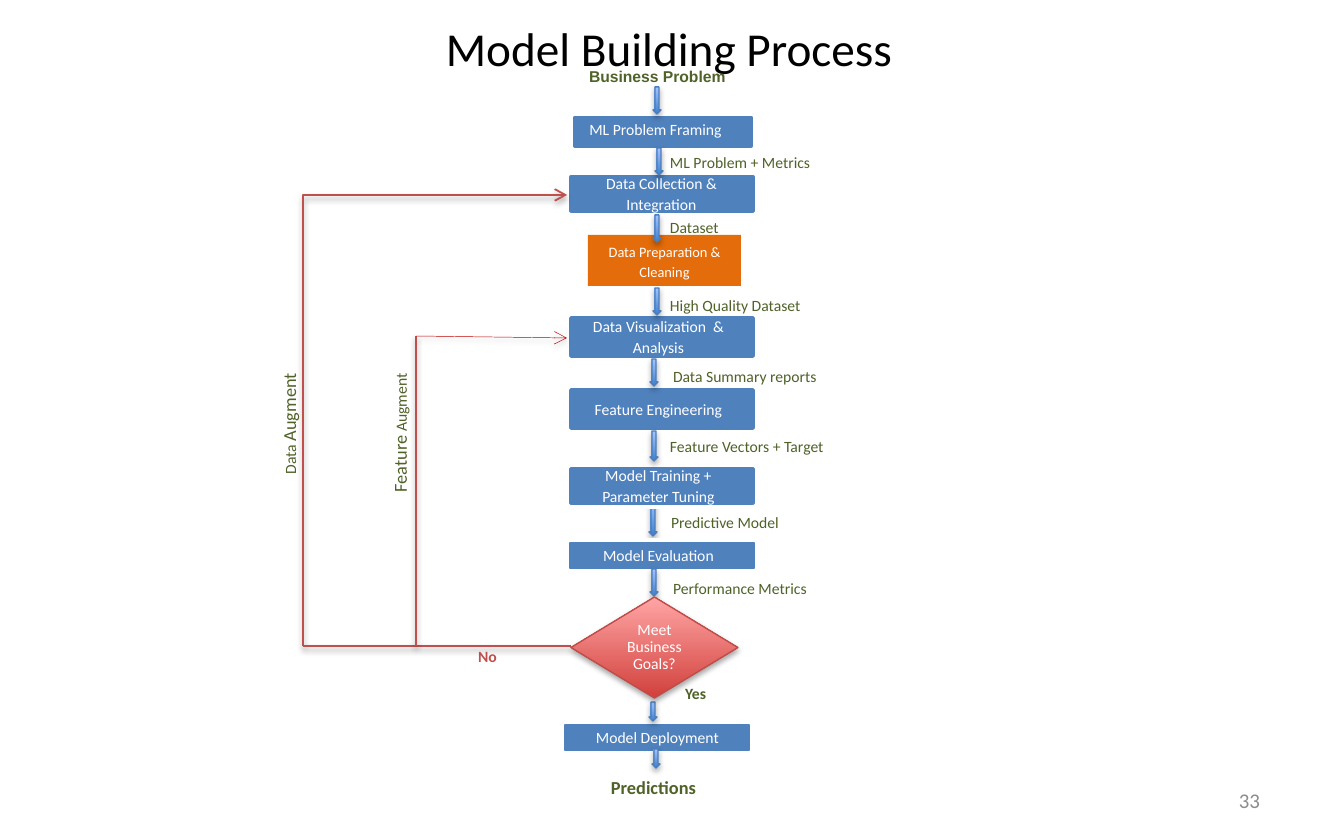
from lxml import etree
from pptx import Presentation
from pptx.dml.color import RGBColor
from pptx.enum.shapes import MSO_CONNECTOR, MSO_SHAPE
from pptx.enum.text import MSO_ANCHOR, PP_ALIGN
from pptx.oxml.ns import qn
from pptx.util import Pt

EMU_PER_PX = 914400 / 134.4
LEFT, CENTER, RIGHT = PP_ALIGN.LEFT, PP_ALIGN.CENTER, PP_ALIGN.RIGHT
TOP, MIDDLE = MSO_ANCHOR.TOP, MSO_ANCHOR.MIDDLE
STRAIGHT, ELBOW = MSO_CONNECTOR.STRAIGHT, MSO_CONNECTOR.ELBOW
ROUNDED, RECT = MSO_SHAPE.ROUNDED_RECTANGLE, MSO_SHAPE.RECTANGLE
DIAMOND, DOWN_ARROW = MSO_SHAPE.DIAMOND, MSO_SHAPE.DOWN_ARROW

WHITE = RGBColor(0xFF, 0xFF, 0xFF)
BLACK = RGBColor(0x00, 0x00, 0x00)
GRAY = RGBColor(0x8C, 0x8C, 0x8C)
GREEN = RGBColor(0x4F, 0x62, 0x28)
BLUE = RGBColor(0x4F, 0x81, 0xBD)
ORANGE = RGBColor(0xE4, 0x6C, 0x0A)
RED = RGBColor(0xC0, 0x50, 0x4D)
DARK_RED = RGBColor(0xC0, 0x00, 0x00)
ARROW_LINE = RGBColor(0x4B, 0x7E, 0xBC)
ARROW_STOPS = RGBColor(0x3F, 0x80, 0xCE), RGBColor(0xA4, 0xC4, 0xFF)
DIAMOND_LINE = RGBColor(0xBF, 0x4C, 0x48)
DIAMOND_STOPS = RGBColor(0xD1, 0x40, 0x3C), RGBColor(0xFF, 0xA6, 0xA5)

STEPS = [
    ("ML Problem Framing", 571, 114, 184, 36, -6, 0.9),
    ("Data Collection & Integration", 567, 173, 190, 42, 18, 1.15),
    ("Data Visualization  & Analysis", 567, 314, 190, 46, 15, 1.15),
    ("Feature Engineering", 567, 386, 190, 46, 15, 1.15),
    ("Model Training + Parameter Tuning", 567, 465, 190, 42, 15, 1.15),
    ("Model Evaluation", 567, 540, 190, 31, 15, 1.15),
    ("Model Deployment", 562, 722, 190, 31, 19, 1.15),
]
ARROWS = [
    (653, 87, 27), (655, 148, 27), (653, 215, 27), (653, 288, 27), (650, 359, 27),
    (650, 431, 30), (650, 569, 27), (649, 702, 19), (652, 749, 19),
]
OUTPUTS = [
    ("ML Problem + Metrics", 661, 145), ("Dataset", 661, 210),
    ("High Quality Dataset", 661, 288), ("Data Summary reports", 664, 359),
    ("Feature Vectors + Target", 661, 429),
]


def px(*values):
    """Turn pixel lengths into EMU."""
    return [round(v * EMU_PER_PX) for v in values]


def put_text(sp, text, size=8.4, color=GREEN, font="Calibri", bold=False, align=CENTER,
             anchor=TOP, inset=(9, 5), spacing=None, after=0):
    """Fill a shape with one paragraph; text is a string or (text, size) pairs."""
    tf = sp.text_frame
    tf.word_wrap = True
    tf.vertical_anchor = anchor
    tf.margin_left, tf.margin_top = tf.margin_right, tf.margin_bottom = px(*inset)
    p = tf.paragraphs[0]
    p.alignment = align
    p.space_after = Pt(after)
    if spacing:
        p.line_spacing = spacing
    for part, part_size in [(text, size)] if isinstance(text, str) else text:
        r = p.add_run()
        r.text = part
        r.font.size = Pt(part_size)
        r.font.name = font
        r.font.bold = bold
        r.font.color.rgb = color


def add_label(shapes, text, x, y, w, h, rotation=0, **fmt):
    """Add a text box."""
    sp = shapes.add_textbox(*px(x, y, w, h))
    sp.rotation = rotation
    put_text(sp, text, **fmt)


def add_shadow(sp, alpha):
    """Give a shape or connector a soft shadow below it."""
    effects = etree.SubElement(sp._element.spPr, qn("a:effectLst"))
    shadow = etree.SubElement(effects, qn("a:outerShdw"), blurRad="39370", dist="22860",
                              dir="5400000", rotWithShape="0")
    color = etree.SubElement(shadow, qn("a:srgbClr"), val="000000")
    etree.SubElement(color, qn("a:alpha"), val=str(alpha * 1000))


def add_box(shapes, kind, x, y, w, h, fill, line=None):
    """Add a flat box with an optional outline."""
    sp = shapes.add_shape(kind, *px(x, y, w, h))
    sp.shadow.inherit = False
    sp.fill.solid()
    sp.fill.fore_color.rgb = fill
    if line is None:
        sp.line.fill.background()
    else:
        sp.line.color.rgb = line
        sp.line.width = Pt(2)
    return sp


def add_step(shapes, text, x, y, w, h, text_dx, spacing):
    """Add a process step, grouped with its caption."""
    group = shapes.add_group_shape().shapes
    sp = add_box(group, ROUNDED, x, y, w, h, BLUE, WHITE)
    sp.adjustments[0] = 0.1
    text_w = 181 if text_dx < 0 else 153
    add_label(group, text, x + text_dx, y - 4, text_w, h + 5, color=WHITE,
              anchor=MIDDLE, inset=(0, 0), spacing=spacing, after=4.2)


def add_gradient_shape(shapes, kind, x, y, w, h, stops, line):
    """Add a shaded shape with a shadow."""
    sp = shapes.add_shape(kind, *px(x, y, w, h))
    sp.fill.gradient()
    sp.fill.gradient_angle = 90
    for stop, color in zip(sp.fill.gradient_stops, stops):
        stop.color.rgb = color
    sp.line.color.rgb = line
    sp.line.width = Pt(0.75)
    add_shadow(sp, 35)
    return sp


def add_flow_arrow(shapes, x, y, h):
    """Add a small block arrow between steps."""
    add_gradient_shape(shapes, DOWN_ARROW, x, y, 8, h, ARROW_STOPS, ARROW_LINE)


def add_line(shapes, x1, y1, x2, y2, kind=STRAIGHT, color=RED, width=1, arrow=False):
    """Add a feedback line, with an arrowhead if asked."""
    cn = shapes.add_connector(kind, *px(x1, y1, x2, y2))
    cn.line.color.rgb = color
    cn.line.width = Pt(width)
    if arrow:
        etree.SubElement(cn.line._get_or_add_ln(), qn("a:tailEnd"), type="arrow")
    add_shadow(cn, 38)
    return cn


def add_corner_arrow(shapes, x1, y1, x2, y2):
    """Add a one-bend arrow that goes up and then right."""
    cx, cy = (x1 + x2) / 2, (y1 + y2) / 2
    dx, dy = (y1 - y2) / 2, (x2 - x1) / 2
    cn = add_line(shapes, cx + dx, cy + dy, cx - dx, cy - dy, kind=ELBOW, arrow=True)
    spPr = cn._element.spPr
    spPr.find(qn("a:xfrm")).set("rot", "5400000")
    spPr.find(qn("a:prstGeom")).set("prst", "bentConnector2")


def main():
    """Build the slide and save it."""
    prs = Presentation()
    prs.slide_width, prs.slide_height = px(1344, 840)
    shapes = prs.slides.add_slide(prs.slide_layouts[6]).shapes

    add_label(shapes, "Model Building Process", 91, 19, 1156, 58, size=25.3,
              color=BLACK, anchor=MIDDLE, inset=(0, 0))
    add_label(shapes, "33", 964, 778, 313, 44, size=11.2, color=GRAY, align=RIGHT,
              anchor=MIDDLE, inset=(17, 9))
    add_label(shapes, "Business Problem", 575, 62, 165, 28, font="Arial", bold=True)

    add_flow_arrow(shapes, 649, 500, 36)
    for step in STEPS:
        add_step(shapes, *step)
    sp = add_box(shapes, RECT, 588, 235, 153, 51, ORANGE)
    put_text(sp, "Data Preparation & Cleaning", size=7.7, color=WHITE, anchor=MIDDLE,
             inset=(0, 0), spacing=1.15, after=4.2)
    for arrow in ARROWS:
        add_flow_arrow(shapes, *arrow)

    for text, x, y in OUTPUTS:
        add_label(shapes, text, x, y, 190, 31, align=LEFT, spacing=1.15, after=7)
    add_label(shapes, "Predictive Model", 630, 508, 190, 28)
    add_label(shapes, "Performance Metrics", 645, 574, 190, 28)
    add_label(shapes, "Predictions", 601, 771, 105, 32, size=9.8, bold=True)

    add_corner_arrow(shapes, 303, 646, 567, 195)
    add_line(shapes, 303, 646, 571, 646)
    add_line(shapes, 416, 336, 416, 646)
    add_line(shapes, 416, 336, 567, 338, color=DARK_RED, width=0.25, arrow=True)
    add_label(shapes, "No", 456, 642, 63, 28, color=RED, bold=True)
    add_label(shapes, "Yes", 664, 679, 63, 28, bold=True)
    add_label(shapes, [("Data ", 8.4), ("Augment", 9.8)], 216, 395, 142, 35,
              rotation=270, align=LEFT, spacing=1.15, after=10)
    add_label(shapes, [("Feature", 9.8), (" Augment", 8.4)], 325, 417, 149, 32,
              rotation=270)

    sp = add_gradient_shape(shapes, DIAMOND, 571, 597, 167, 101, DIAMOND_STOPS, DIAMOND_LINE)
    put_text(sp, "Meet Business Goals?", color=WHITE, anchor=MIDDLE, inset=(13, 7),
             spacing=0.9)
    prs.save("out.pptx")


if __name__ == "__main__":
    main()
